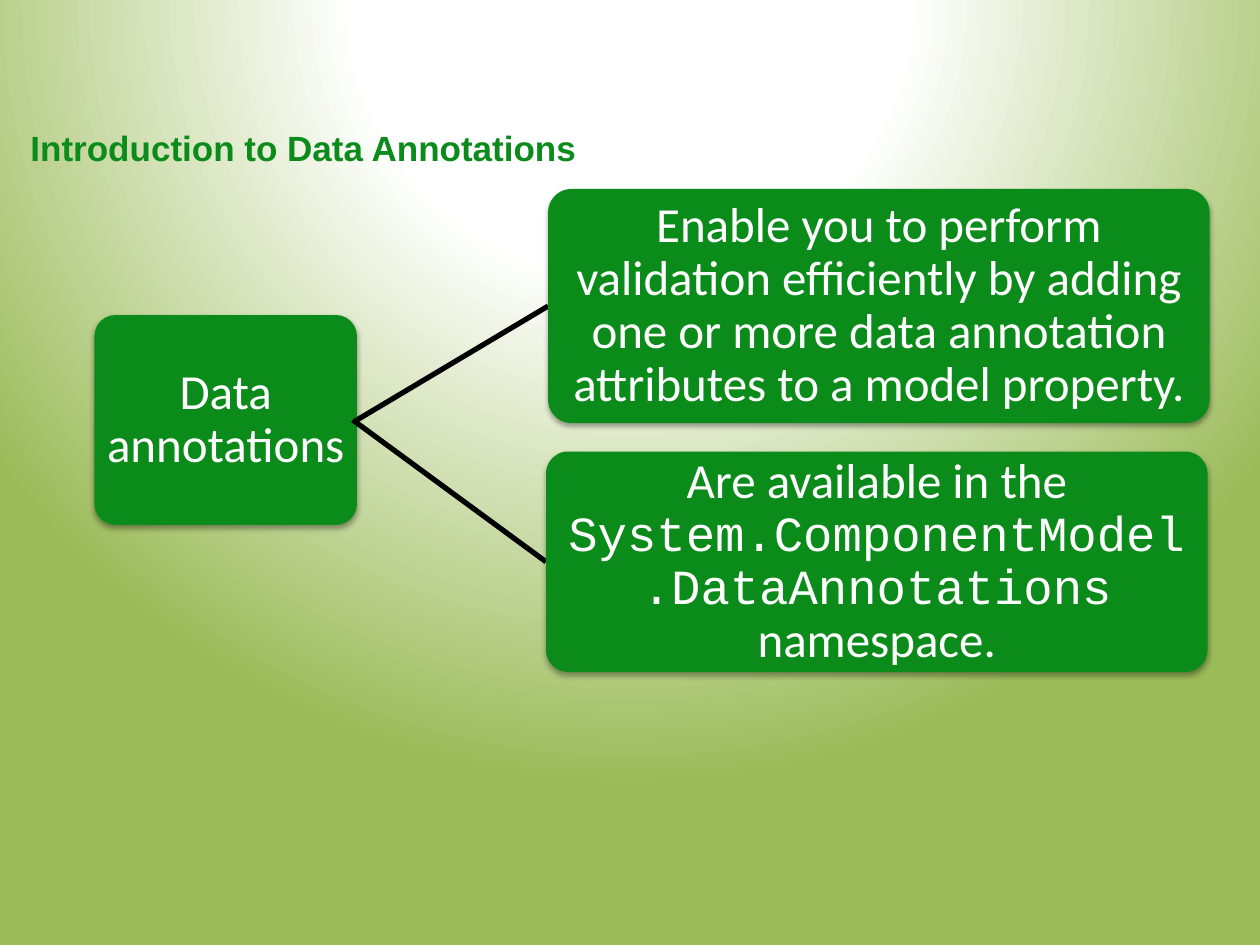
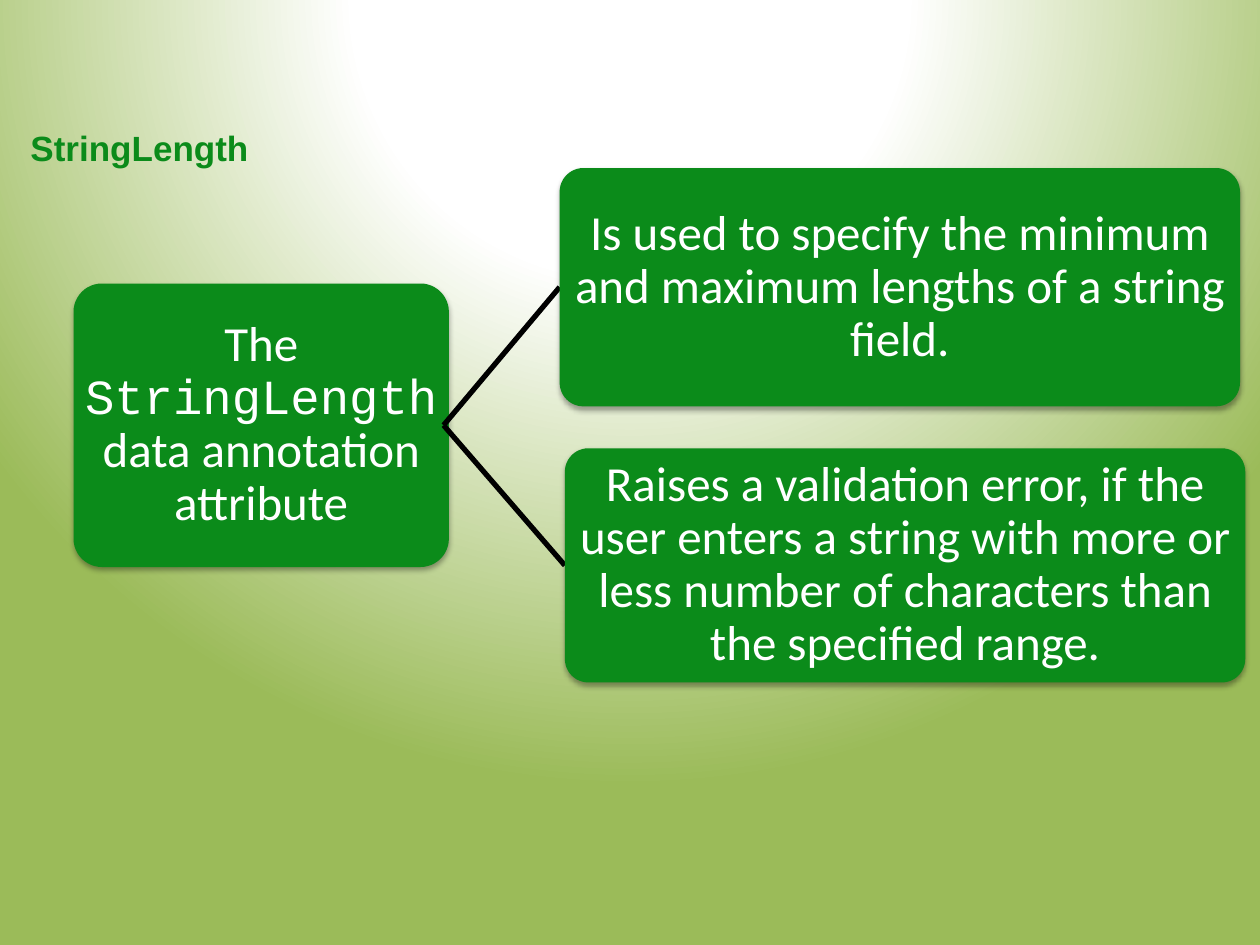
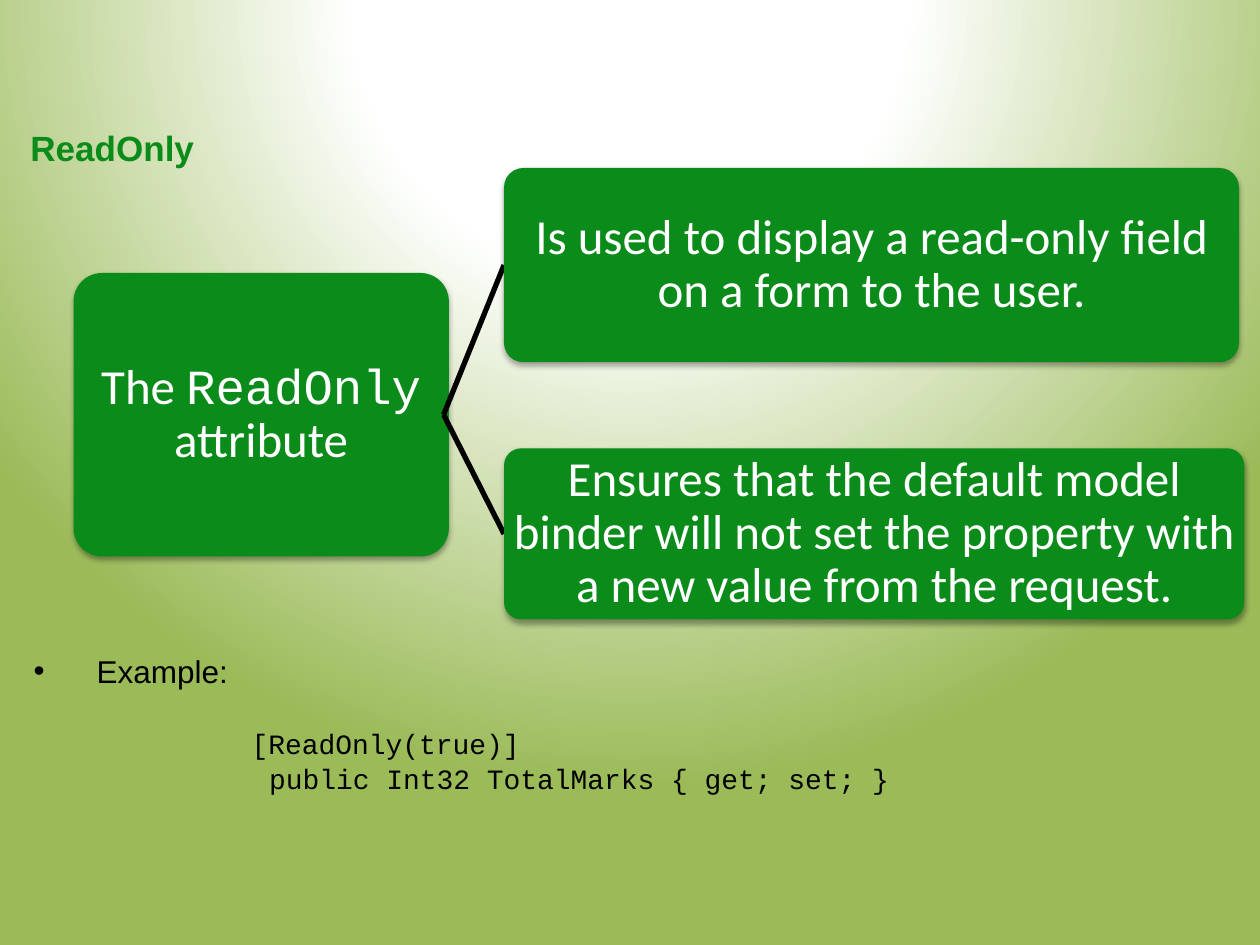
import pptx
import pptx.util
import pptx.dml.color
import pptx.enum.shapes
import pptx.enum.text
import pptx.oxml
import pptx.oxml.ns

COLORS = {"green": "0B8B1A", "meadow": "9BBB59", "white": "FFFFFF", "black": "000000"}
WIDTH, HEIGHT = pptx.util.Inches(10), pptx.util.Inches(7.5)
COLUMNS, ROWS = 120, 90
TITLE_ONLY, TITLE_AND_BODY = 5, 1
SANS, LABEL, CODE = "Arial", "Calibri", "Courier New"
NAMESPACE = pptx.oxml.ns.nsdecls("a")

# Boxes are left, top, width, height in grid columns and rows.
# Each detail holds its box, its text spans and how far its line reaches into the hub.
DIAGRAMS = [
    {
        "title": ("Introduction to Data Annotations", 55.8),
        "hub": ((9, 30, 25, 20), [("Data annotations", LABEL)]),
        "details": [
            ((52.2, 18, 63, 22.3),
             [("Enable you to perform validation efficiently by adding one or more "
               "data annotation attributes to a model property.", LABEL)], 0),
            ((52, 43, 63, 21),
             [("Are available in the ", LABEL),
              ("System.ComponentModel.DataAnnotations", CODE),
              (" namespace.", LABEL)], 0.4),
        ],
    },
    {
        "title": ("StringLength", 23.4),
        "hub": ((7, 27, 35.75, 27),
                [("The ", LABEL), ("StringLength", CODE),
                 (" data annotation attribute", LABEL)]),
        "details": [
            ((53.3, 16, 64.8, 22.7),
             [("Is used to specify the minimum and maximum lengths of a string field.",
               LABEL)], 0.5),
            ((53.8, 42.7, 64.8, 22.3),
             [("Raises a validation error, if the user enters a string with more or less "
               "number of characters than the specified range.", LABEL)], 0.5),
        ],
    },
    {
        "title": ("ReadOnly", 18.1),
        "hub": ((7, 26, 35.75, 27),
                [("The ", LABEL), ("ReadOnly", CODE), (" attribute", LABEL)]),
        "details": [
            ((48, 16, 70, 18.5),
             [("Is used to display a read-only field on a form to the user.", LABEL)], 0.5),
            ((48, 42.7, 70.5, 16.3),
             [("Ensures that the default model binder will not set the property with a "
               "new value from the request.", LABEL)], 0.5),
        ],
        "example": ["[ReadOnly(true)]", "public Int32 TotalMarks { get; set; }"],
    },
]


def to_length(column, row):
    return round(WIDTH * column / COLUMNS), round(HEIGHT * row / ROWS)


def place(shape, box):
    shape.left, shape.top = to_length(*box[:2])
    shape.width, shape.height = to_length(*box[2:])


def add_span(para, text, font, size, color, bold=False):
    span = para.add_run()
    span.text = text
    span.font.name, span.font.size, span.font.bold = font, pptx.util.Pt(size), bold
    span.font.color.rgb = pptx.dml.color.RGBColor.from_string(COLORS[color])


def set_background(master):
    """Give every slide a glow that falls from above the top edge."""
    master.background.fill.solid()
    properties = master.element.find(".//" + pptx.oxml.ns.qn("p:bgPr"))
    stops = "".join(
        f'<a:gs pos="{share * 1000}"><a:srgbClr val="{COLORS[name]}"/></a:gs>'
        for share, name in [(0, "white"), (35, "white"), (100, "meadow")])
    properties.replace(properties[0], pptx.oxml.parse_xml(
        f'<a:gradFill {NAMESPACE} rotWithShape="1"><a:gsLst>{stops}</a:gsLst>'
        '<a:path path="circle"><a:fillToRect l="50000" t="-80000" r="50000" b="180000"/>'
        '</a:path></a:gradFill>'))


def set_title(page, text, columns):
    title = page.shapes.title
    place(title, (1.7, 11.4, columns, 5.3))
    frame = title.text_frame
    frame.word_wrap = False
    frame.auto_size = pptx.enum.text.MSO_AUTO_SIZE.SHAPE_TO_FIT_TEXT
    frame.vertical_anchor = pptx.enum.text.MSO_ANCHOR.TOP
    para = frame.paragraphs[0]
    para.alignment = pptx.enum.text.PP_ALIGN.LEFT
    add_span(para, text, SANS, 20, "green", bold=True)


def add_card(page, box, spans):
    card = page.shapes.add_shape(
        pptx.enum.shapes.MSO_SHAPE.ROUNDED_RECTANGLE, 0, 0, 0, 0)
    place(card, box)
    card.adjustments[0] = 0.1
    card.fill.solid()
    card.fill.fore_color.rgb = pptx.dml.color.RGBColor.from_string(COLORS["green"])
    card.line.fill.background()
    card.shadow.inherit = False
    effects = card.element.spPr.find(pptx.oxml.ns.qn("a:effectLst"))
    effects.append(pptx.oxml.parse_xml(
        f'<a:outerShdw {NAMESPACE} blurRad="40000" dist="23000" dir="5400000" '
        f'rotWithShape="0"><a:srgbClr val="{COLORS["black"]}"><a:alpha val="35000"/>'
        '</a:srgbClr></a:outerShdw>'))
    frame = card.text_frame
    frame.word_wrap = True
    frame.vertical_anchor = pptx.enum.text.MSO_ANCHOR.MIDDLE
    inset = pptx.util.Inches(0.02)
    frame.margin_left = frame.margin_right = inset
    frame.margin_top = frame.margin_bottom = inset
    para = frame.paragraphs[0]
    para.alignment = pptx.enum.text.PP_ALIGN.CENTER
    para.line_spacing = 0.9
    for text, font in spans:
        add_span(para, text, font, 28, "white")


def add_link(page, hub, detail, reach):
    """Join the right edge of the hub to the left edge of a detail."""
    start = to_length(hub[0] + hub[2] - reach, hub[1] + hub[3] / 2)
    end = to_length(detail[0], detail[1] + detail[3] / 2)
    link = page.shapes.add_connector(
        pptx.enum.shapes.MSO_CONNECTOR.STRAIGHT, *start, *end)
    link.line.width = pptx.util.Pt(3)
    link.line.color.rgb = pptx.dml.color.RGBColor.from_string(COLORS["black"])
    link.element.spPr.append(pptx.oxml.parse_xml(f"<a:effectLst {NAMESPACE}/>"))


def add_diagram(page, hub, details):
    hub_box, hub_spans = hub
    add_card(page, hub_box, hub_spans)
    for box, spans, reach in details:
        add_link(page, hub_box, box, reach)
        add_card(page, box, spans)


def set_indent(para, margin, first_line, bullet):
    properties = para._p.get_or_add_pPr()
    properties.set("marL", str(pptx.util.Inches(margin)))
    properties.set("indent", str(pptx.util.Inches(first_line)))
    mark = '<a:buChar {} char="•"/>' if bullet else "<a:buNone {}/>"
    properties.append(pptx.oxml.parse_xml(mark.format(NAMESPACE)))


def set_example(page, code_lines):
    body = page.placeholders[1]
    place(body, (2, 61.5, 114, 15))
    frame = body.text_frame
    frame.auto_size = pptx.enum.text.MSO_AUTO_SIZE.NONE
    heading = frame.paragraphs[0]
    heading.space_before = pptx.util.Pt(0)
    set_indent(heading, 0.5, -0.5, bullet=True)
    add_span(heading, "Example:", SANS, 18, "black")
    for text, gap, margin in zip(code_lines, (21, 1), (1.73, 1.87)):
        para = frame.add_paragraph()
        para.space_before = pptx.util.Pt(gap)
        set_indent(para, margin, 0, bullet=False)
        add_span(para, text, CODE, 16, "black")


def main():
    deck = pptx.Presentation()
    deck.slide_width, deck.slide_height = WIDTH, HEIGHT
    set_background(deck.slide_master)
    for diagram in DIAGRAMS:
        layout = TITLE_AND_BODY if "example" in diagram else TITLE_ONLY
        page = deck.slides.add_slide(deck.slide_layouts[layout])
        set_title(page, *diagram["title"])
        if "example" in diagram:
            set_example(page, diagram["example"])
        add_diagram(page, diagram["hub"], diagram["details"])
    deck.save("out.pptx")


if __name__ == "__main__":
    main()
